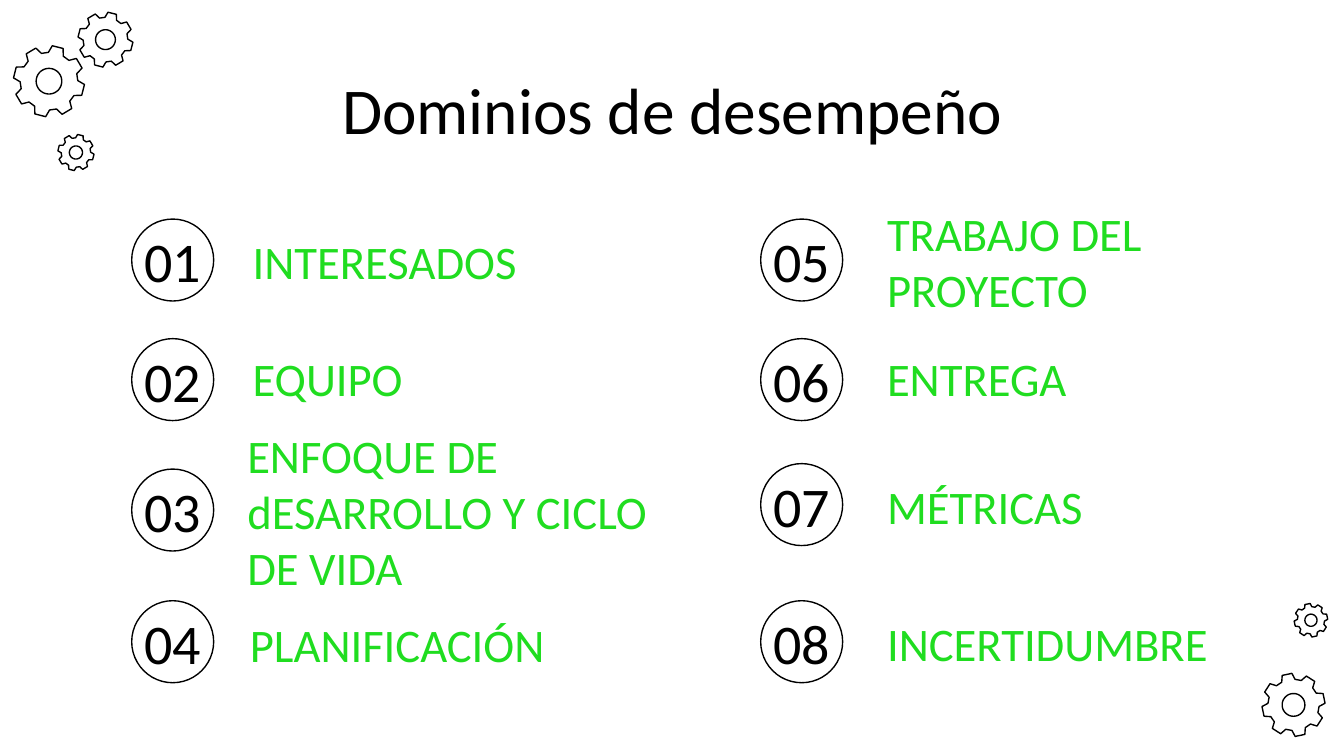
from dataclasses import dataclass
from math import cos, radians, sin

from pptx import Presentation
from pptx.dml.color import RGBColor
from pptx.enum.shapes import MSO_SHAPE
from pptx.enum.text import MSO_ANCHOR, MSO_AUTO_SIZE, PP_ALIGN
from pptx.shapes.autoshape import Shape
from pptx.slide import Slide
from pptx.util import Inches, Pt

OVAL = MSO_SHAPE.OVAL
MIDDLE = MSO_ANCHOR.MIDDLE
NO_AUTOFIT = MSO_AUTO_SIZE.NONE
LEFT, CENTER = PP_ALIGN.LEFT, PP_ALIGN.CENTER

FONT = "Calibri"
BLACK, WHITE, GREEN = "000000", "FFFFFF", "20DD20"

CIRCLE_SIZE = 0.61
NUMBER_HEIGHT = 0.45
LABEL_HEIGHT = 0.58
LEFT_COLUMN, RIGHT_COLUMN = 0.98, 5.66

# Gear proportions: radii relative to the tip, angles in degrees
TEETH = 8
FIRST_TOOTH = -75.7
ROOT_RADIUS, HUB_RADIUS = 0.81, 0.36
TOOTH_PROFILE = [(-15.5, ROOT_RADIUS), (-9, 1), (9, 1), (15.5, ROOT_RADIUS)]
HUB_STEP = 6


@dataclass
class Gear:
    left: float
    top: float
    size: float
    rotation: float = 0


@dataclass
class Domain:
    number: str
    name: str
    circle_left: float
    circle_top: float
    label_left: float
    label_top: float
    label_width: float = 2.52


GEARS = [
    Gear(0.58, 0.09, 0.41),
    Gear(0.43, 1.00, 0.27),
    Gear(0.10, 0.34, 0.53),
    Gear(9.63, 4.49, 0.25, -26.3),
    Gear(9.39, 5.01, 0.47, -26.3),
]

DOMAINS = [
    Domain("01", "INTERESADOS", LEFT_COLUMN, 1.63, 1.88, 1.65),
    Domain("02", "EQUIPO", LEFT_COLUMN, 2.52, 1.88, 2.52),
    Domain("03", "ENFOQUE DE dESARROLLO Y CICLO DE VIDA",
           LEFT_COLUMN, 3.49, 1.84, 3.51, 3.31),
    Domain("04", "PLANIFICACIÓN", LEFT_COLUMN, 4.47, 1.86, 4.50),
    Domain("05", "TRABAJO DEL PROYECTO", RIGHT_COLUMN, 1.63, 6.60, 1.65),
    Domain("06", "ENTREGA", RIGHT_COLUMN, 2.52, 6.60, 2.52),
    Domain("07", "MÉTRICAS", RIGHT_COLUMN, 3.45, 6.60, 3.47),
    Domain("08", "INCERTIDUMBRE", RIGHT_COLUMN, 4.47, 6.60, 4.49),
]


def color(value: str) -> RGBColor:
    return RGBColor.from_string(value)


def outline(shape: Shape) -> None:
    shape.shadow.inherit = False
    shape.line.color.rgb = color(BLACK)
    shape.line.width = Pt(0.75)


def write(shape: Shape, text: str, size: float, text_color: str,
          alignment: PP_ALIGN) -> None:
    frame = shape.text_frame
    frame.word_wrap = True
    frame.auto_size = NO_AUTOFIT
    frame.vertical_anchor = MIDDLE
    frame.margin_left = frame.margin_right = 0
    frame.margin_top = frame.margin_bottom = 0
    paragraph = frame.paragraphs[0]
    paragraph.alignment = alignment
    run = paragraph.add_run()
    run.text = text
    run.font.name = FONT
    run.font.size = Pt(size)
    run.font.color.rgb = color(text_color)


def add_text(slide: Slide, left: float, top: float, width: float, height: float,
             text: str, size: float, text_color: str, alignment: PP_ALIGN) -> None:
    box = slide.shapes.add_textbox(
        Inches(left), Inches(top), Inches(width), Inches(height))
    write(box, text, size, text_color, alignment)


def add_gear(slide: Slide, gear: Gear) -> None:
    radius = gear.size / 2

    def point(angle: float, ratio: float) -> tuple[int, int]:
        reach = radius * ratio
        return (Inches(gear.left + radius + reach * cos(radians(angle))),
                Inches(gear.top + radius + reach * sin(radians(angle))))

    rim = [point(FIRST_TOOTH + tooth * 360 / TEETH + offset, ratio)
           for tooth in range(TEETH) for offset, ratio in TOOTH_PROFILE]
    hub = [point(angle, HUB_RADIUS) for angle in range(0, 360, HUB_STEP)]

    builder = slide.shapes.build_freeform(*rim[0])
    builder.add_line_segments(rim[1:], close=True)
    builder.move_to(*hub[0])
    builder.add_line_segments(hub[1:], close=True)
    shape = builder.convert_to_shape()
    shape.rotation = gear.rotation
    shape.fill.background()
    outline(shape)


def add_domain(slide: Slide, domain: Domain) -> None:
    circle = slide.shapes.add_shape(
        OVAL, Inches(domain.circle_left), Inches(domain.circle_top),
        Inches(CIRCLE_SIZE), Inches(CIRCLE_SIZE))
    circle.fill.solid()
    circle.fill.fore_color.rgb = color(WHITE)
    outline(circle)
    number_top = domain.circle_top + (CIRCLE_SIZE - NUMBER_HEIGHT) / 2
    add_text(slide, domain.circle_left, number_top, CIRCLE_SIZE, NUMBER_HEIGHT,
             domain.number, 30, BLACK, CENTER)
    add_text(slide, domain.label_left, domain.label_top, domain.label_width,
             LABEL_HEIGHT, domain.name, 25, GREEN, LEFT)


def main() -> None:
    # Widescreen page, 16:9
    presentation = Presentation()
    presentation.slide_width = Inches(10)
    presentation.slide_height = Inches(10) * 9 // 16
    slide = presentation.slides.add_slide(presentation.slide_layouts[5])

    # Title
    title = slide.shapes.title
    title.left, title.top = Inches(0.79), Inches(0.49)
    title.width, title.height = Inches(8.43), Inches(0.63)
    write(title, "Dominios de desempeño", 35, BLACK, CENTER)

    # Corner gears
    for gear in GEARS:
        add_gear(slide, gear)

    # Numbered performance domains
    for domain in DOMAINS:
        add_domain(slide, domain)

    presentation.save("out.pptx")


if __name__ == "__main__":
    main()
